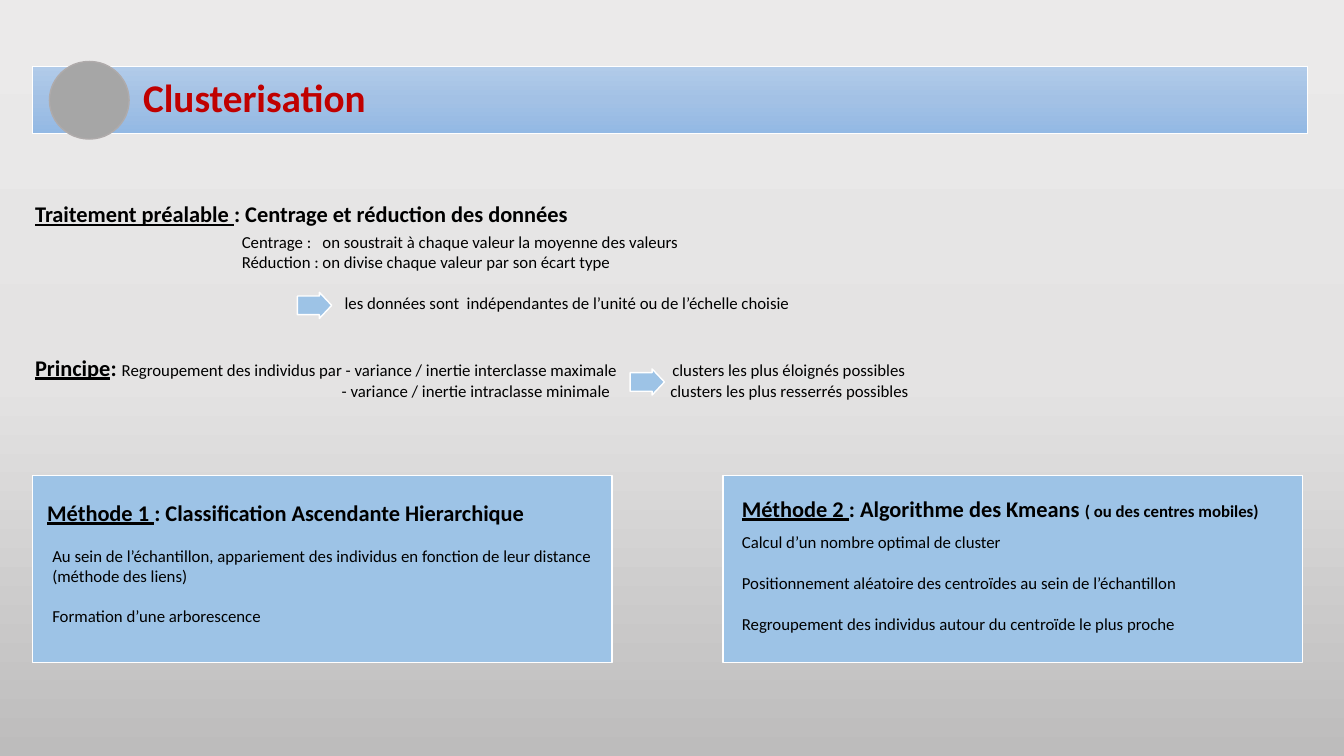
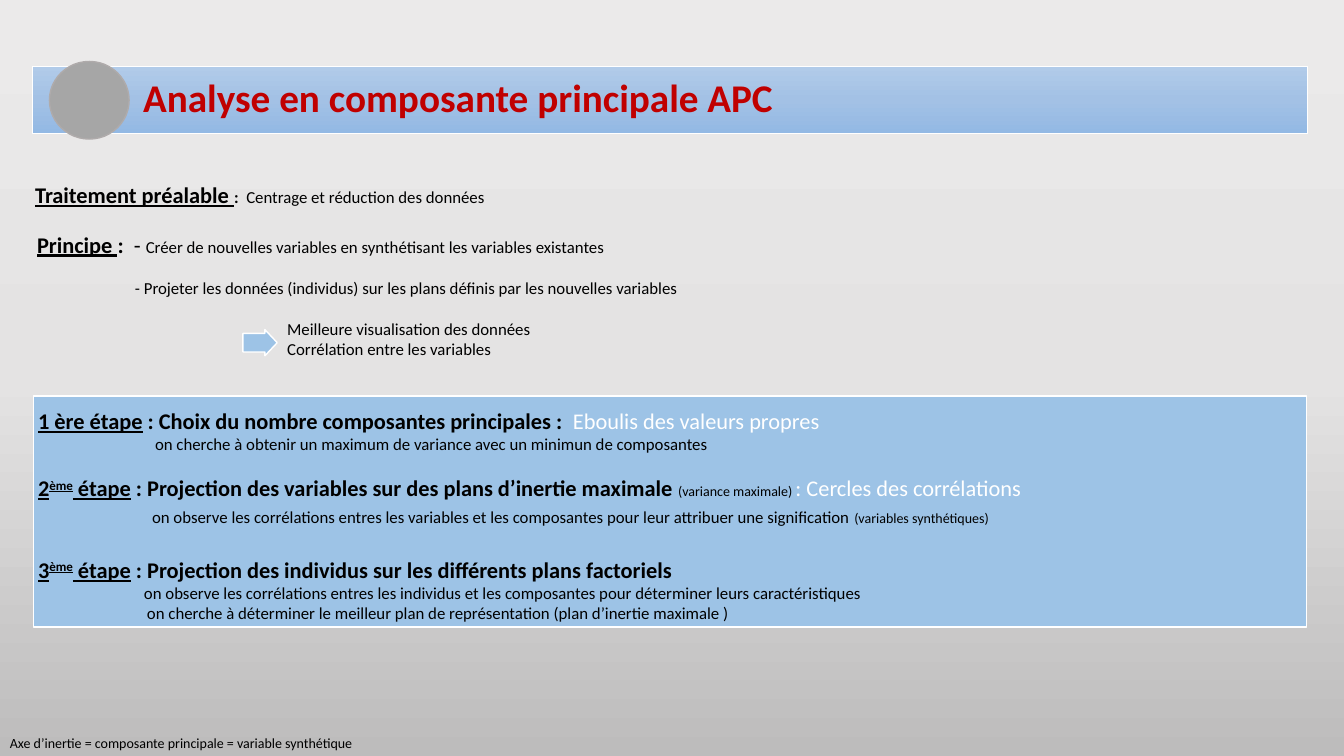
from copy import deepcopy

from lxml import etree
from pptx import Presentation
from pptx.dml.color import RGBColor
from pptx.enum.shapes import MSO_SHAPE
from pptx.enum.text import MSO_ANCHOR, MSO_AUTO_SIZE, PP_ALIGN
from pptx.oxml.ns import qn
from pptx.util import Inches, Pt

OVAL, ARROW, PANEL = MSO_SHAPE.OVAL, MSO_SHAPE.RIGHT_ARROW, MSO_SHAPE.FLOWCHART_PROCESS
LEFT, MIDDLE, FIXED = PP_ALIGN.LEFT, MSO_ANCHOR.MIDDLE, MSO_AUTO_SIZE.NONE

BLACK = RGBColor(0x00, 0x00, 0x00)
WHITE = RGBColor(0xFF, 0xFF, 0xFF)
RED = RGBColor(0xC0, 0x00, 0x00)
BLUE = RGBColor(0x9D, 0xC3, 0xE6)
GREY = RGBColor(0xA6, 0xA6, 0xA6)
RIM = RGBColor(0xAF, 0xAB, 0xAB)
PAGE = (RGBColor(0xEB, 0xEA, 0xEA), RGBColor(0xE4, 0xE3, 0xE3), RGBColor(0xBD, 0xBC, 0xBC))
BAND = (RGBColor(0xB1, 0xCB, 0xE9), RGBColor(0xA3, 0xC1, 0xE5), RGBColor(0x93, 0xB9, 0xE4))

FONT = "Calibri"
GAP = 14.6  # one line of body text, in points

# Run styles: size, bold, underline, colour, superscript
BODY = (12, False, False, BLACK, False)
HEAD = (16, True, False, BLACK, False)
LABEL = (16, True, True, BLACK, False)
SUPER = (16, True, True, BLACK, True)
STRONG = (12, True, False, BLACK, False)
PLAIN = (16, False, False, BLACK, False)
LIGHT = (16, False, False, WHITE, False)
SMALL = (10, False, False, BLACK, False)


def blend(fill, owner, shades):
    """Fill with a three-stop gradient running from top to bottom."""
    fill.gradient()
    fill.gradient_angle = 270
    stops = next(owner.iter(qn("a:gsLst")))
    stops.append(deepcopy(stops[-1]))
    for stop, spot, shade in zip(fill.gradient_stops, (0, 0.5, 1), shades):
        stop.position = spot
        stop.color.rgb = shade


def para(*runs, indent=0, before=0, tabs=()):
    """Describe a paragraph; a run is a string in body style or (string, style)."""
    return runs, indent, before, tabs


class Deck:
    def __init__(self):
        self.prs = Presentation()
        self.prs.slide_width, self.prs.slide_height = Inches(13.33), Inches(7.5)
        self.base = self.prs.slide_layouts[5]
        blend(self.base.background.fill, self.base._element, PAGE)
        self.slide = None

    def page(self, title):
        """Start a slide with its title band and disc."""
        self.slide = self.prs.slides.add_slide(self.base)
        band = self.slide.shapes.title
        band.left, band.top = Inches(0.32), Inches(0.66)
        band.width, band.height = Inches(12.65), Inches(0.66)
        blend(band.fill, band._element, BAND)
        band.line.color.rgb, band.line.width = WHITE, Pt(0.5)
        frame = band.text_frame
        frame.text = title
        frame.auto_size, frame.vertical_anchor = FIXED, MIDDLE
        frame.margin_left = Inches(1.1)
        line = frame.paragraphs[0]
        line.alignment, line.line_spacing = LEFT, 0.9
        self.style(line.runs[0], (28, True, False, RED, False))
        self.shape(OVAL, 0.49, 0.61, 0.79, 0.77, GREY, RIM)

    def style(self, run, look):
        size, bold, under, color, lift = look
        font = run.font
        font.name, font.size = FONT, Pt(size)
        font.bold, font.underline, font.color.rgb = bold, under, color
        if lift:
            run._r.get_or_add_rPr().set("baseline", "30000")

    def shape(self, kind, x, y, w, h, fill=BLUE, line=WHITE):
        item = self.slide.shapes.add_shape(kind, Inches(x), Inches(y), Inches(w), Inches(h))
        item.shadow.inherit = False
        item.fill.solid()
        item.fill.fore_color.rgb = fill
        item.line.color.rgb, item.line.width = line, Pt(1)
        return item

    def arrow(self, x, y):
        item = self.shape(ARROW, x, y, 0.34, 0.26)
        item.adjustments[0], item.adjustments[1] = 0.71, 0.47

    def text(self, x, y, w, h, *paras):
        box = self.slide.shapes.add_textbox(Inches(x), Inches(y), Inches(w), Inches(h))
        frame = box.text_frame
        frame.word_wrap = True
        for i, (runs, indent, before, tabs) in enumerate(paras):
            line = frame.add_paragraph() if i else frame.paragraphs[0]
            props = line._p.get_or_add_pPr()
            if indent:
                props.set("marL", str(Inches(indent)))
                props.set("indent", "0")
            if tabs:
                stops = etree.SubElement(props, qn("a:tabLst"))
                for tab in tabs:
                    etree.SubElement(stops, qn("a:tab"), pos=str(Inches(tab)), algn="l")
            if before:
                line.space_before = Pt(before)
            for part in runs:
                words, look = (part, BODY) if isinstance(part, str) else part
                run = line.add_run()
                run.text = words
                self.style(run, look)


def cluster(deck):
    deck.page("Clusterisation")
    for x in (0.32, 7.17):
        deck.shape(PANEL, x, 4.72, 5.75, 1.85)

    deck.text(0.25, 1.94, 6.22, 0.37, para(
        ("Traitement préalable ", LABEL), (": Centrage et réduction des données", HEAD)))
    deck.text(
        2.3, 2.25, 5.84, 0.91,
        para("Centrage :\ton soustrait à chaque valeur la moyenne des valeurs", tabs=(0.8,)),
        para("Réduction :\ton divise chaque valeur par son écart type", tabs=(0.8,)),
        para("les données sont  indépendantes de l’unité ou de l’échelle choisie",
             indent=1.02, before=GAP))
    deck.arrow(2.95, 2.9)

    deck.text(
        0.25, 3.46, 9.26, 0.57,
        para(("Principe", LABEL), (": ", HEAD),
             "Regroupement des individus par - variance / inertie interclasse maximale"
             "\tclusters les plus éloignés possibles", tabs=(6.32,)),
        para("\t- variance / inertie intraclasse minimale\tclusters les plus resserrés possibles",
             tabs=(3.04, 6.3)))
    deck.arrow(6.25, 3.66)

    deck.text(0.37, 4.9, 5.66, 0.37, para(
        ("Méthode 1 ", LABEL), (": Classification Ascendante Hierarchique", HEAD)))
    deck.text(
        0.42, 5.36, 5.61, 0.91,
        para("Au sein de l’échantillon, appariement des individus en fonction de leur distance"),
        para("(méthode des liens)"),
        para("Formation d’une arborescence", before=GAP))

    deck.text(7.26, 4.86, 5.66, 0.37, para(
        ("Méthode 2 ", LABEL), (": Algorithme des Kmeans ", HEAD),
        ("( ou des centres mobiles)", STRONG)))
    deck.text(
        7.26, 5.23, 5.66, 1.11,
        para("Calcul d’un nombre optimal de cluster"),
        para("Positionnement aléatoire des centroïdes au sein de l’échantillon", before=GAP),
        para("Regroupement des individus autour du centroïde le plus proche", before=GAP))


def factor(deck):
    deck.page("Analyse en composante principale APC")
    deck.text(0, 7.24, 3.91, 0.26, para(
        ("Axe d’inertie = composante principale = variable synthétique", SMALL)))
    deck.text(0.25, 1.75, 6.22, 0.37, para(
        ("Traitement préalable ", LABEL), (":  ", STRONG), "Centrage et réduction des données"))
    deck.text(
        0.27, 2.24, 9.26, 1.58,
        para(("Principe ", LABEL), (":\t", HEAD), ("- ", PLAIN),
             "Créer de nouvelles variables en synthétisant les variables existantes",
             tabs=(0.96,)),
        para("- Projeter les données (individus) sur les plans définis par les nouvelles variables",
             indent=0.97, before=GAP),
        para("Meilleure visualisation des données", indent=2.48, before=GAP),
        para("Corrélation entre les variables", indent=2.48))
    deck.arrow(2.41, 3.27)

    deck.shape(PANEL, 0.33, 3.93, 12.63, 2.29)
    deck.text(
        0.28, 3.99, 11.66, 2.23,
        para(("1 ère étape", LABEL), (" : Choix du nombre composantes principales :  ", HEAD),
             ("Eboulis des valeurs propres", LIGHT)),
        para("on cherche à obtenir un maximum de variance avec un minimun de composantes",
             indent=1.16),
        para(("2", LABEL), ("ème", SUPER), (" étape", LABEL),
             (" : Projection des variables sur des plans d’inertie maximale ", HEAD),
             ("(variance maximale) ", SMALL), (": Cercles des corrélations", LIGHT),
             before=GAP),
        para("on observe les corrélations entres les variables et les composantes "
             "pour leur attribuer une signification ",
             ("(variables synthétiques)", SMALL), indent=1.13, before=4),
        para(("3", LABEL), ("ème", SUPER), (" étape", LABEL),
             (" : Projection des individus sur les différents plans factoriels", HEAD),
             before=20.5),
        para("on observe les corrélations entres les individus et les composantes "
             "pour déterminer leurs caractéristiques", indent=1.05),
        para("on cherche à déterminer le meilleur plan de représentation "
             "(plan d’inertie maximale )", indent=1.08))


def main():
    deck = Deck()
    cluster(deck)
    factor(deck)
    deck.prs.save("out.pptx")


if __name__ == "__main__":
    main()
